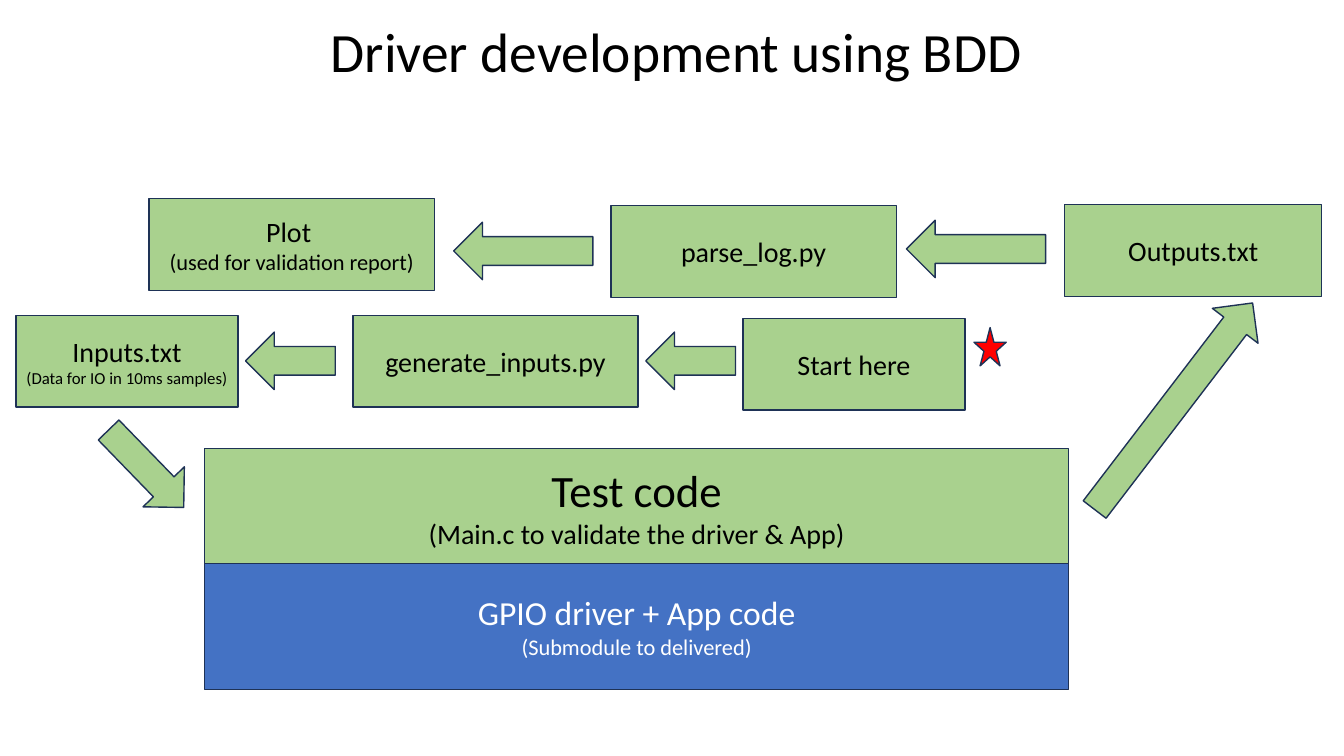
from pptx import Presentation
from pptx.dml.color import RGBColor
from pptx.enum.shapes import MSO_SHAPE as Shape
from pptx.enum.text import MSO_ANCHOR as Anchor, MSO_AUTO_SIZE as AutoSize, PP_ALIGN as Align
from pptx.util import Pt

PX = 9144  # one px is a hundredth of an inch
FONT = "Calibri"
BLACK = RGBColor(0x00, 0x00, 0x00)
WHITE = RGBColor(0xFF, 0xFF, 0xFF)
GREEN = RGBColor(0xA9, 0xD1, 0x8E)
BLUE = RGBColor(0x44, 0x72, 0xC4)
RED = RGBColor(0xFF, 0x00, 0x00)
NAVY = RGBColor(0x1E, 0x32, 0x56)

STEP_HEIGHT = 91
ARROW_WIDTH = 57


def add_run(para, text, size, color):
    span = para.add_run()
    span.text = text
    span.font.name = FONT
    span.font.size = Pt(size)
    span.font.color.rgb = color


def add_figure(page, kind, left, top, width, height, fill=GREEN):
    figure = page.shapes.add_shape(kind, left * PX, top * PX, width * PX, height * PX)
    figure.shadow.inherit = False
    figure.fill.solid()
    figure.fill.fore_color.rgb = fill
    figure.line.color.rgb = NAVY
    figure.line.width = Pt(1)
    return figure


def add_box(page, left, top, width, height, paragraphs, fill=GREEN, color=BLACK):
    """Draw a labelled box; each paragraph is a list of (text, size) lines."""
    frame = add_figure(page, Shape.RECTANGLE, left, top, width, height, fill).text_frame
    frame.word_wrap = True
    frame.vertical_anchor = Anchor.MIDDLE
    for index, lines in enumerate(paragraphs):
        para = frame.add_paragraph() if index else frame.paragraphs[0]
        para.alignment = Align.CENTER
        for number, (text, size) in enumerate(lines):
            if number:
                para.add_line_break()
            add_run(para, text, size, color)


def add_arrow(page, center_x, center_y, length, rotation=90):
    """Draw a block arrow around its centre; a quarter turn points it left."""
    arrow = add_figure(page, Shape.DOWN_ARROW, center_x - ARROW_WIDTH / 2,
                       center_y - length / 2, ARROW_WIDTH, length)
    arrow.rotation = rotation


def add_title(page, left, top, width, height):
    title = page.shapes.title
    title.left, title.top = left * PX, top * PX
    title.width, title.height = width * PX, height * PX
    frame = title.text_frame
    frame.auto_size = AutoSize.NONE
    frame.word_wrap = True
    frame.vertical_anchor = Anchor.MIDDLE
    para = frame.paragraphs[0]
    para.alignment = Align.LEFT
    para.line_spacing = 0.9
    add_run(para, "Driver development using BDD", 39.6, BLACK)


def add_code_stack(page, left, top, width):
    test_height, driver_height = 114, 126
    add_box(page, left, top + test_height - 1, width, driver_height,
            [[("GPIO driver + App code", 24), ("(Submodule to delivered)", 16)]],
            BLUE, WHITE)
    add_box(page, left, top, width, test_height,
            [[("Test code", 32)], [("(Main.c to validate the driver & App)", 20)]])


def add_input_row(page, left, top):
    add_box(page, left, top, 220, STEP_HEIGHT,
            [[("Inputs.txt", 20), ("(Data for IO in 10ms samples)", 12)]])
    add_box(page, left + 334, top, 283, STEP_HEIGHT, [[("generate_inputs.py", 20)]])
    add_box(page, left + 721, top + 3, 220, STEP_HEIGHT, [[("Start here", 20)]])
    for center in (272, 669):
        add_arrow(page, left + center, top + 45, 89)
    add_figure(page, Shape.STAR_5_POINT, left + 950, top + 12, 32, 38, RED)


def add_report_row(page, left, top):
    add_box(page, left, top, 283, STEP_HEIGHT,
            [[("Plot ", 20), ("(used for validation report)", 16)]])
    add_box(page, left + 458, top + 7, 283, STEP_HEIGHT, [[("parse_log.py", 20)]])
    add_box(page, left + 908, top + 6, 255, STEP_HEIGHT, [[("Outputs.txt", 20)]])
    add_arrow(page, left + 371, top + 52, 138)
    add_arrow(page, left + 820, top + 50, 138)


def main():
    deck = Presentation()
    deck.slide_width, deck.slide_height = 1333 * PX, 750 * PX
    page = deck.slides.add_slide(deck.slide_layouts[5])
    page.background.fill.solid()
    page.background.fill.fore_color.rgb = WHITE

    add_title(page, 318, 19, 735, 71)
    add_code_stack(page, 203, 445, 857)
    add_input_row(page, 16, 313)
    add_report_row(page, 148, 197)

    # Links into and out of the test code
    add_arrow(page, 145, 465, 107, 315.9)
    add_arrow(page, 1164, 403, 258, 217.4)

    deck.save("out.pptx")


if __name__ == "__main__":
    main()
